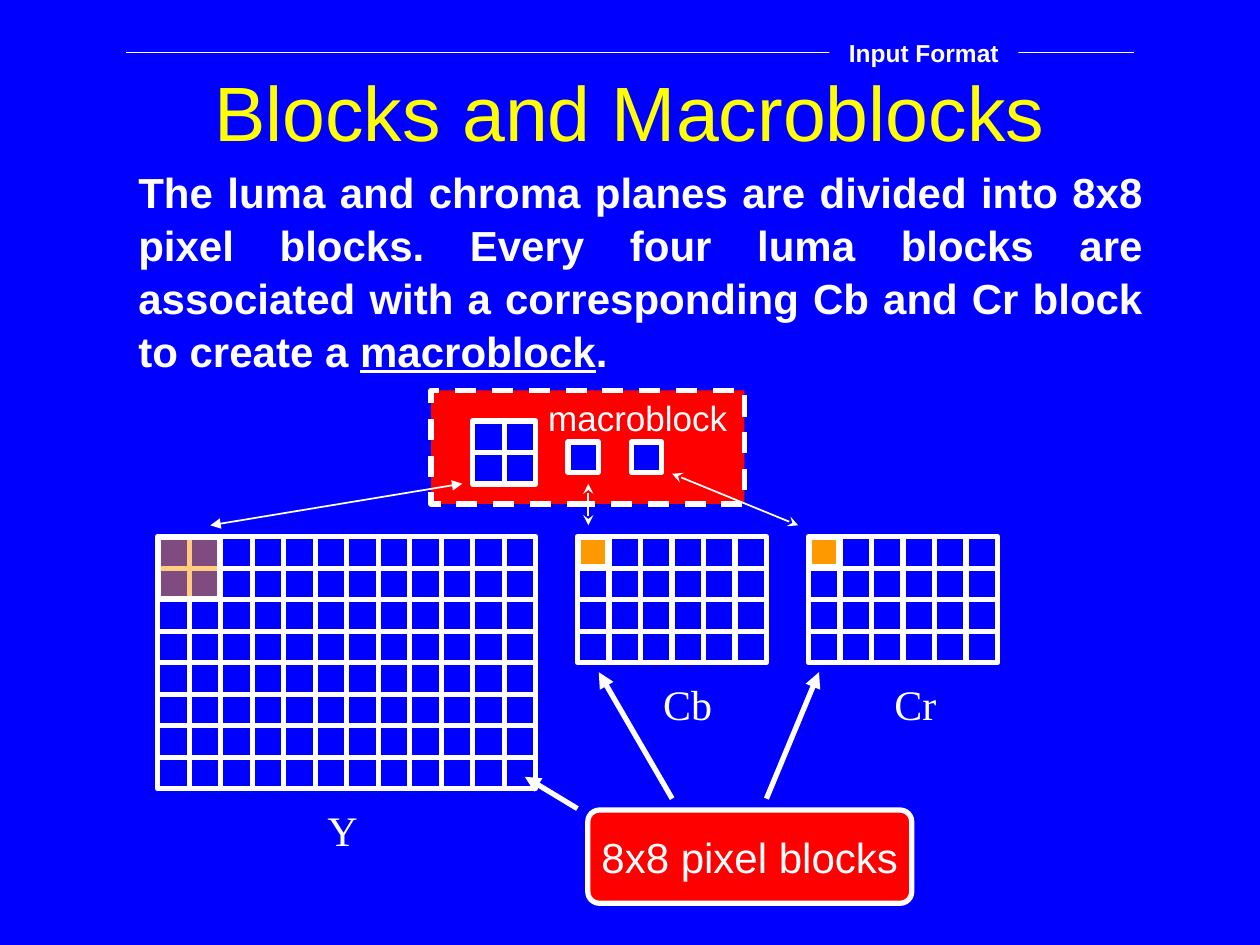
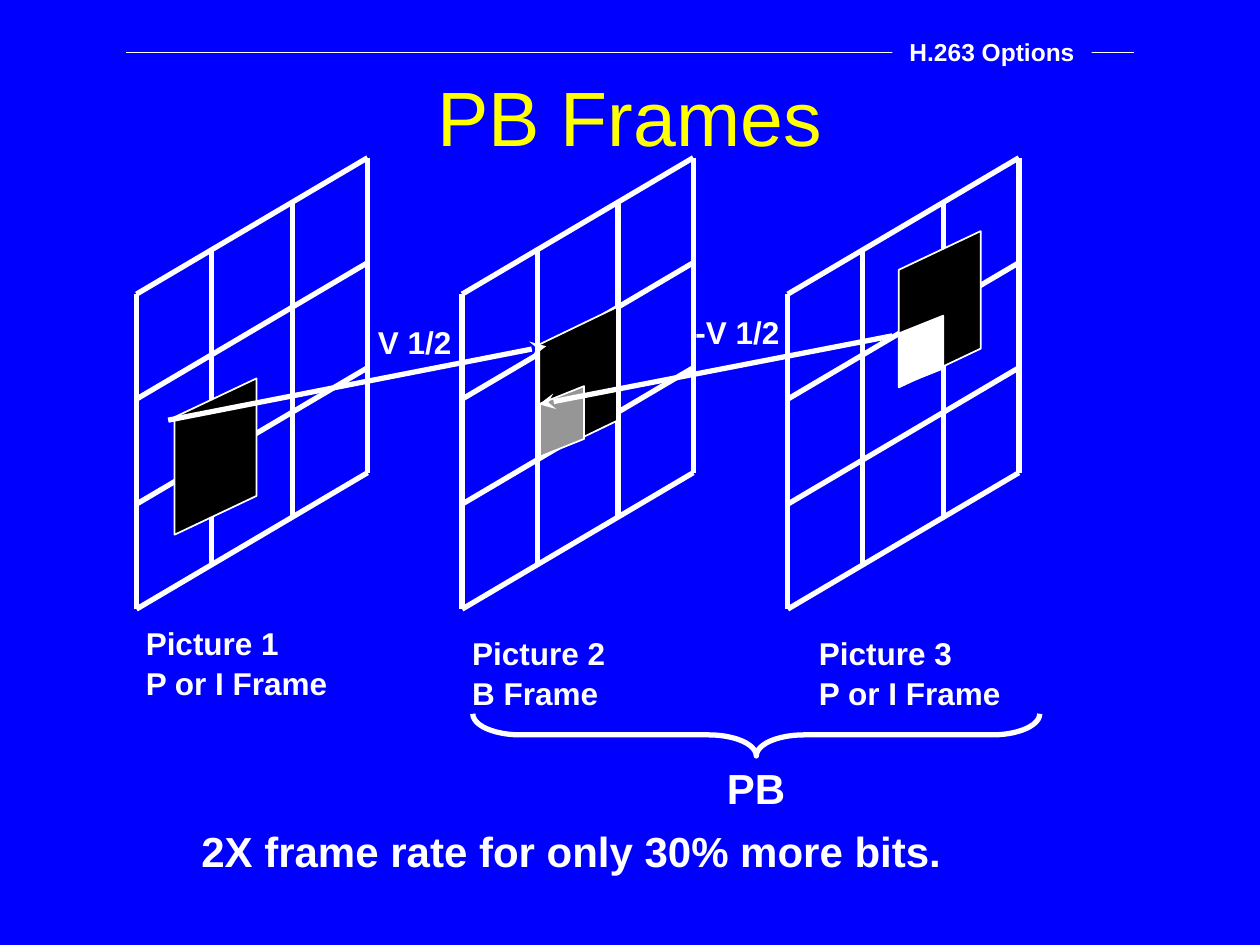
from dataclasses import dataclass

from lxml.etree import SubElement
from pptx import Presentation
from pptx.dml.color import RGBColor
from pptx.enum.dml import MSO_LINE
from pptx.enum.shapes import MSO_CONNECTOR, MSO_SHAPE
from pptx.enum.text import MSO_ANCHOR, MSO_AUTO_SIZE, PP_ALIGN
from pptx.oxml.ns import qn
from pptx.util import Cm, Pt


@dataclass(frozen=True)
class Theme:
    blue: str = "0000FF"
    white: str = "FFFFFF"
    yellow: str = "FFFF00"
    red: str = "FF0000"
    orange: str = "FF9900"
    black: str = "000000"
    gray: str = "969696"
    sans: str = "Arial"
    serif: str = "Times New Roman"
    title: int = 44
    body: int = 24
    note: int = 20
    caption: int = 18
    tag: int = 14
    thick: float = 3
    medium: float = 2
    thin: float = 1
    hairline: float = 0.75


THEME = Theme()
CELL = 0.635  # side of one 8x8 block, in cm


# Text
def write(tf, text, size=THEME.body, font=THEME.sans, color=THEME.white, bold=False,
          align=PP_ALIGN.LEFT, anchor=MSO_ANCHOR.TOP, wrap=True, spacing=None,
          underlined=None):
    """Fill a text frame: one paragraph a line, with one word underlined if given."""
    tf.word_wrap = wrap
    tf.auto_size = MSO_AUTO_SIZE.NONE
    tf.vertical_anchor = anchor
    for i, line in enumerate(text.split("\n")):
        p = tf.paragraphs[0] if i == 0 else tf.add_paragraph()
        p.alignment = align
        if spacing:
            p.line_spacing = spacing
        for part in line.partition(underlined) if underlined else [line]:
            r = p.add_run()
            r.text = part
            r.font.size = Pt(size)
            r.font.name = font
            r.font.bold = bold
            r.font.color.rgb = RGBColor.from_string(color)
            if part == underlined:
                r.font.underline = True


def add_text(slide, text, left, top, width, height, **fmt):
    sp = slide.shapes.add_textbox(Cm(left), Cm(top), Cm(width), Cm(height))
    write(sp.text_frame, text, **fmt)
    return sp


# Shapes and lines
def add_box(shapes, left, top, width, height, fill=THEME.blue, weight=THEME.thick,
            kind=MSO_SHAPE.RECTANGLE):
    sp = shapes.add_shape(kind, Cm(left), Cm(top), Cm(width), Cm(height))
    sp.shadow.inherit = False
    if fill:
        sp.fill.solid()
        sp.fill.fore_color.rgb = RGBColor.from_string(fill)
    else:
        sp.fill.background()
    sp.line.color.rgb = RGBColor.from_string(THEME.white)
    sp.line.width = Pt(weight)
    return sp


def add_line(shapes, x1, y1, x2, y2, weight=THEME.thick, head=None, tail=None):
    line = shapes.add_connector(MSO_CONNECTOR.STRAIGHT, Cm(x1), Cm(y1), Cm(x2), Cm(y2))
    line.line.color.rgb = RGBColor.from_string(THEME.white)
    line.line.width = Pt(weight)
    ln = line.line._get_or_add_ln()
    for tag, arrow in (("a:headEnd", head), ("a:tailEnd", tail)):
        if arrow:
            SubElement(ln, qn(tag)).set("type", arrow)
    SubElement(line._element.spPr, qn("a:effectLst"))


def add_block_grid(slide, left, top, cols, rows):
    """A plane of square blocks, grouped."""
    shapes = slide.shapes.add_group_shape().shapes
    width, height = cols * CELL, rows * CELL
    add_box(shapes, left, top, width, height)
    for row in range(1, rows):
        add_line(shapes, left, top + row * CELL, left + width, top + row * CELL)
    for col in range(1, cols):
        add_line(shapes, left + col * CELL, top, left + col * CELL, top + height)


def add_highlight(slide, left, top, cells, opacity=None):
    """Colour a square of cells at the corner of a grid."""
    side = cells * CELL - 0.07
    sp = add_box(slide.shapes, left + 0.03, top + 0.03, side, side, THEME.orange,
                 THEME.medium)
    if opacity:
        color = sp._element.spPr.find(qn("a:solidFill"))[0]
        SubElement(color, qn("a:alpha")).set("val", str(opacity * 1000))


def add_frame_grid(slide, left, top):
    """A slanted picture frame of 3 x 3 cells, grouped."""
    shapes = slide.shapes.add_group_shape().shapes
    width, height, rise = 4.66, 6.35, 2.75
    for row in range(4):
        y = top + row * height / 3
        add_line(shapes, left, y, left + width, y - rise)
    for share in (0, 0.325, 0.675, 1):
        x, y = left + share * width, top - share * rise
        add_line(shapes, x, y, x, y + height)


def add_slanted_block(slide, left, top, width, height, skew, fill):
    """A parallelogram turned so that its short sides stand upright."""
    sp = add_box(slide.shapes, left, top, width, height, fill, THEME.thin,
                 MSO_SHAPE.PARALLELOGRAM)
    sp.adjustments[0] = skew
    sp.rotation = 270
    sp._element.spPr.find(qn("a:xfrm")).set("flipH", "1")


# Shared slide parts
def add_slide(prs, title, title_top, title_height):
    slide = prs.slides.add_slide(prs.slide_layouts[5])
    sp = slide.shapes.title
    sp.left, sp.top = Cm(1.9), Cm(title_top)
    sp.width, sp.height = Cm(21.59), Cm(title_height)
    write(sp.text_frame, title, size=THEME.title, color=THEME.yellow,
          align=PP_ALIGN.CENTER, anchor=MSO_ANCHOR.MIDDLE)
    return slide


def add_header(slide, section, left, top, width):
    add_line(slide.shapes, 2.54, 1.06, 22.86, 1.06, THEME.hairline)
    sp = add_text(slide, section, left, top, width, 0.86, size=THEME.tag, bold=True,
                  align=PP_ALIGN.CENTER, anchor=MSO_ANCHOR.MIDDLE)
    sp.fill.solid()
    sp.fill.fore_color.rgb = RGBColor.from_string(THEME.blue)


# Slides
def build_macroblocks(prs):
    slide = add_slide(prs, "Blocks and Macroblocks", 0.64, 3.18)
    shapes = slide.shapes
    macroblock = add_box(shapes, 8.69, 7.87, 6.32, 2.29, THEME.red)
    macroblock.line.dash_style = MSO_LINE.DASH
    add_text(slide, "The luma and chroma planes are divided into 8x8 pixel blocks. "
             "Every four luma blocks are associated with a corresponding Cb and Cr "
             "block to create a macroblock.", 2.54, 3.18, 20.75, 4.32, bold=True,
             align=PP_ALIGN.JUSTIFY, spacing=1.05, underlined="macroblock")

    # Planes and the blocks of one macroblock
    plane_top, luma, cb, cr = 10.82, 3.18, 11.64, 16.3
    add_block_grid(slide, luma, plane_top, 12, 8)
    for left in (cb, cr):
        add_block_grid(slide, left, plane_top, 6, 4)
    add_block_grid(slide, 9.53, 8.49, 2, 2)
    for left in (11.45, 12.73):
        add_box(shapes, left, 8.91, 0.61, 0.61)
    add_highlight(slide, luma, plane_top, 2, opacity=50)
    for left in (cb, cr):
        add_highlight(slide, left, plane_top, 1)

    # Links between planes and macroblock
    for x1, y1, x2, y2, arrow in ((4.24, 10.59, 9.32, 9.75, "triangle"),
                                  (11.86, 10.59, 11.86, 9.75, "stealth"),
                                  (13.55, 9.55, 16.09, 10.59, "stealth")):
        add_line(shapes, x1, y1, x2, y2, THEME.thin, arrow, arrow)

    # Callout
    callout = add_box(shapes, 11.85, 16.33, 6.53, 1.88, THEME.red,
                      kind=MSO_SHAPE.ROUNDED_RECTANGLE)
    callout.adjustments[0] = 0.125
    write(callout.text_frame, "8x8 pixel blocks", align=PP_ALIGN.CENTER,
          anchor=MSO_ANCHOR.MIDDLE, wrap=False)
    for ends in ((11.64, 16.3, 10.58, 15.66), (13.55, 16.1, 12.07, 13.55),
                 (15.45, 16.1, 16.51, 13.55)):
        add_line(shapes, *ends, tail="triangle")

    # Labels
    add_text(slide, "macroblock", 10.8, 7.86, 4.24, 1.09, size=THEME.note)
    for name, left, top in (("Y", 6.35, 16.1), ("Cb", 13.12, 13.55),
                            ("Cr", 17.78, 13.55)):
        add_text(slide, name, left, top, 1.7, 1.27, font=THEME.serif)
    add_header(slide, "Input Format", 16.72, 0.64, 3.81)


def build_pb_frames(prs):
    slide = add_slide(prs, "PB Frames", 1.27, 2.12)
    for i in range(3):
        add_frame_grid(slide, 2.75 + i * 6.565, 5.93)

    # Blocks and motion vectors
    add_slanted_block(slide, 2.77, 8.38, 3.15, 1.65, 0.473, THEME.black)
    add_slanted_block(slide, 10.13, 6.93, 3.05, 1.57, 0.482, THEME.black)
    add_slanted_block(slide, 17.37, 5.41, 3.15, 1.65, 0.473, THEME.black)
    add_line(slide.shapes, 3.39, 8.47, 11.01, 6.98, tail="stealth")
    add_slanted_block(slide, 17.86, 6.63, 1.42, 0.89, 0.4, THEME.white)
    add_slanted_block(slide, 10.62, 8.05, 1.42, 0.89, 0.4, THEME.gray)
    add_line(slide.shapes, 17.99, 6.77, 10.87, 8.15, tail="stealth")

    # Captions
    for text, left, top, width, height in (
            ("Picture 1\nP or I Frame", 2.69, 12.42, 4.19, 1.78),
            ("Picture 2\nB Frame", 9.27, 12.62, 3.2, 1.78),
            ("Picture 3\nP or I Frame", 16.26, 12.62, 4.19, 1.78),
            ("V 1/2", 7.37, 6.35, 2.01, 1.02),
            ("-V 1/2", 13.77, 6.15, 2.21, 1.02)):
        add_text(slide, text, left, top, width, height, size=THEME.caption, bold=True,
                 wrap=False, spacing=1.05)
    add_text(slide, "2X frame rate for only 30% more bits.", 3.81, 16.51, 16.94, 1.27,
             bold=True)
    add_header(slide, "H.263 Options", 17.99, 0.62, 4.02)

    # Brace under pictures 2 and 3
    brace = add_box(slide.shapes, 14.82, 9.1, 0.85, 11.43, None,
                    kind=MSO_SHAPE.RIGHT_BRACE)
    brace.adjustments[0] = 1.13
    brace.rotation = 90
    add_text(slide, "PB", 14.4, 15.24, 1.68, 1.27, bold=True, align=PP_ALIGN.CENTER,
             anchor=MSO_ANCHOR.MIDDLE, wrap=False)


def main():
    prs = Presentation()
    prs.slide_width, prs.slide_height = Cm(25.4), Cm(19.05)
    background = prs.slide_master.background.fill
    background.solid()
    background.fore_color.rgb = RGBColor.from_string(THEME.blue)
    build_macroblocks(prs)
    build_pb_frames(prs)
    prs.save("out.pptx")


if __name__ == "__main__":
    main()
